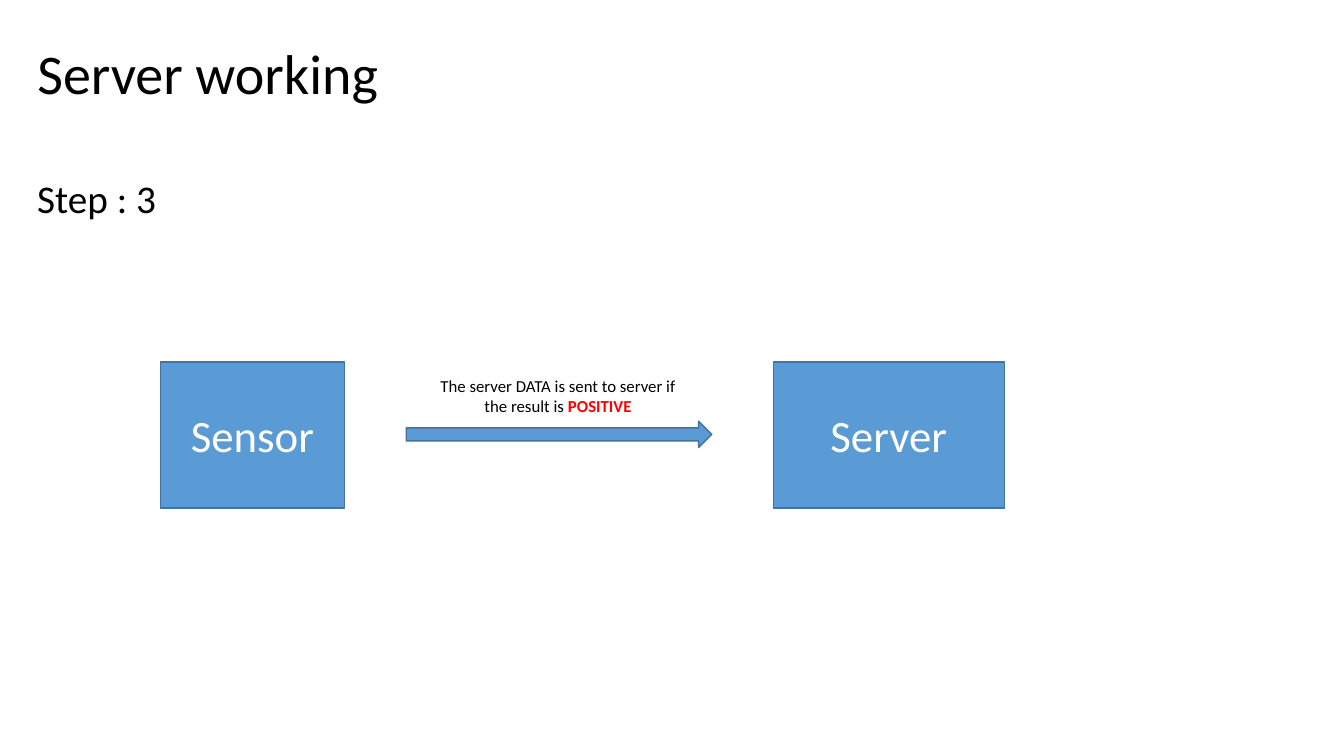
from dataclasses import dataclass

from pptx import Presentation
from pptx.dml.color import RGBColor
from pptx.enum.shapes import MSO_SHAPE
from pptx.enum.text import MSO_ANCHOR, MSO_AUTO_SIZE, PP_ALIGN
from pptx.shapes.autoshape import Shape
from pptx.slide import Slide
from pptx.util import Emu, Pt

PX = 9144
FONT = "Calibri"
BLUE = RGBColor(0x5B, 0x9B, 0xD5)
EDGE = RGBColor(0x43, 0x73, 0x9E)
BLACK = RGBColor(0, 0, 0)
WHITE = RGBColor(255, 255, 255)
RED = RGBColor(255, 0, 0)
RECT = MSO_SHAPE.RECTANGLE
ARROW = MSO_SHAPE.RIGHT_ARROW
LEFT = PP_ALIGN.LEFT
CENTER = PP_ALIGN.CENTER
TOP = MSO_ANCHOR.TOP
MIDDLE = MSO_ANCHOR.MIDDLE
NO_FIT = MSO_AUTO_SIZE.NONE


@dataclass(frozen=True)
class Box:
    left: int
    top: int
    width: int
    height: int

    def emu(self) -> tuple[Emu, ...]:
        sides = (self.left, self.top, self.width, self.height)
        return tuple(Emu(side * PX) for side in sides)


@dataclass(frozen=True)
class Node:
    label: str
    box: Box


TITLE = Box(27, 33, 1212, 77)
STEP = Box(27, 168, 261, 57)
FLOW = Box(403, 418, 303, 26)
NOTE = Box(421, 368, 265, 50)
NODES = (
    Node("Sensor", Box(159, 359, 183, 145)),
    Node("Server", Box(767, 359, 229, 145)),
)


def write(shape: Shape, text: str, *, size: int, color: RGBColor = BLACK,
          bold: bool = False, align: PP_ALIGN = LEFT,
          anchor: MSO_ANCHOR = TOP) -> None:
    frame = shape.text_frame
    frame.word_wrap = True
    frame.auto_size = NO_FIT
    frame.vertical_anchor = anchor
    para = frame.paragraphs[0]
    para.alignment = align
    run = para.add_run()
    run.text = text
    font = run.font
    font.name = FONT
    font.size = Pt(size)
    font.bold = bold
    font.color.rgb = color


def draw(slide: Slide, kind: MSO_SHAPE, box: Box) -> Shape:
    shape = slide.shapes.add_shape(kind, *box.emu())
    shape.shadow.inherit = False
    shape.fill.solid()
    shape.fill.fore_color.rgb = BLUE
    shape.line.color.rgb = EDGE
    shape.line.width = Pt(1)
    return shape


def main() -> None:
    deck = Presentation()
    deck.slide_width = Emu(1333 * PX)
    deck.slide_height = Emu(750 * PX)
    slide = deck.slides.add_slide(deck.slide_layouts[5])

    title = slide.shapes.title
    title.left, title.top, title.width, title.height = TITLE.emu()
    write(title, "Server working", size=40)

    step = slide.shapes.add_textbox(*STEP.emu())
    write(step, "Step : 3", size=28)

    for node in NODES:
        shape = draw(slide, RECT, node.box)
        write(shape, node.label, size=32, color=WHITE, align=CENTER,
              anchor=MIDDLE)

    draw(slide, ARROW, FLOW)
    note = slide.shapes.add_textbox(*NOTE.emu())
    write(note, "The server DATA is sent to server if the result is ",
          size=12, align=CENTER)
    write(note, "POSITIVE", size=12, color=RED, bold=True, align=CENTER)

    deck.save("out.pptx")


if __name__ == "__main__":
    main()
